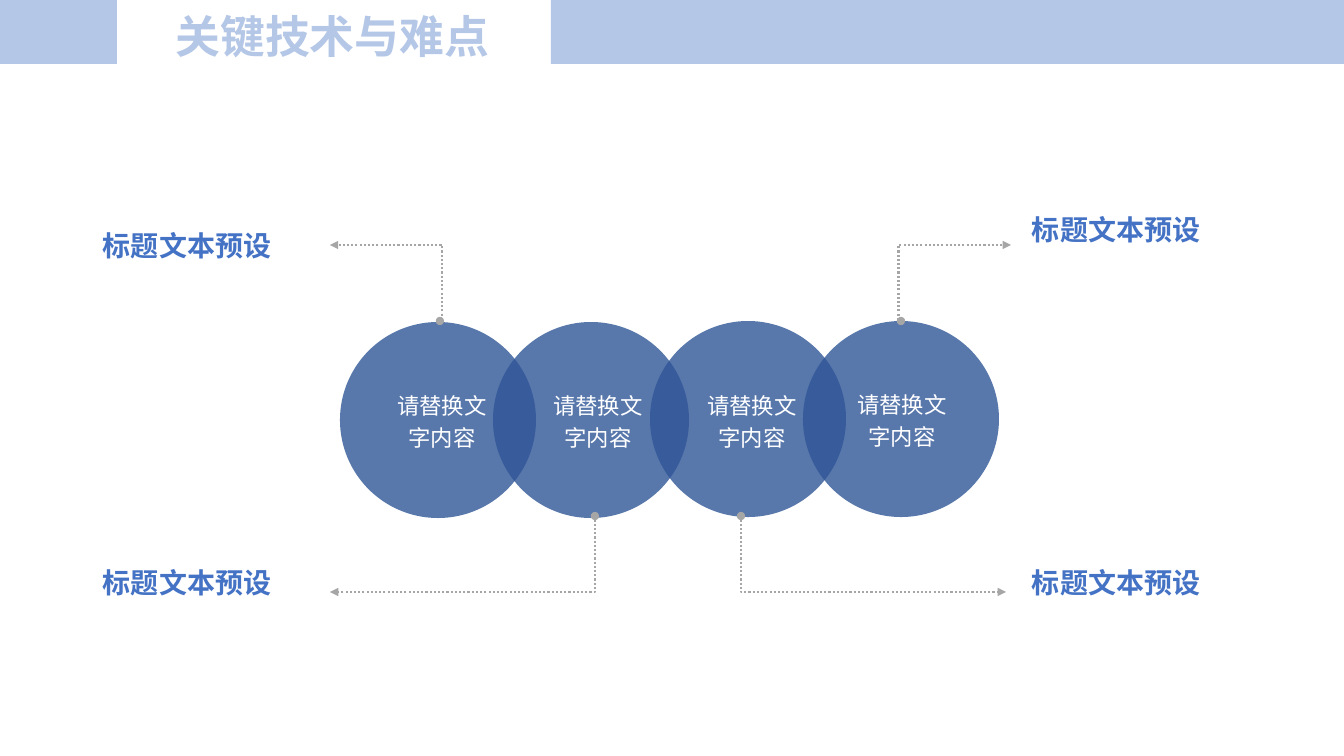
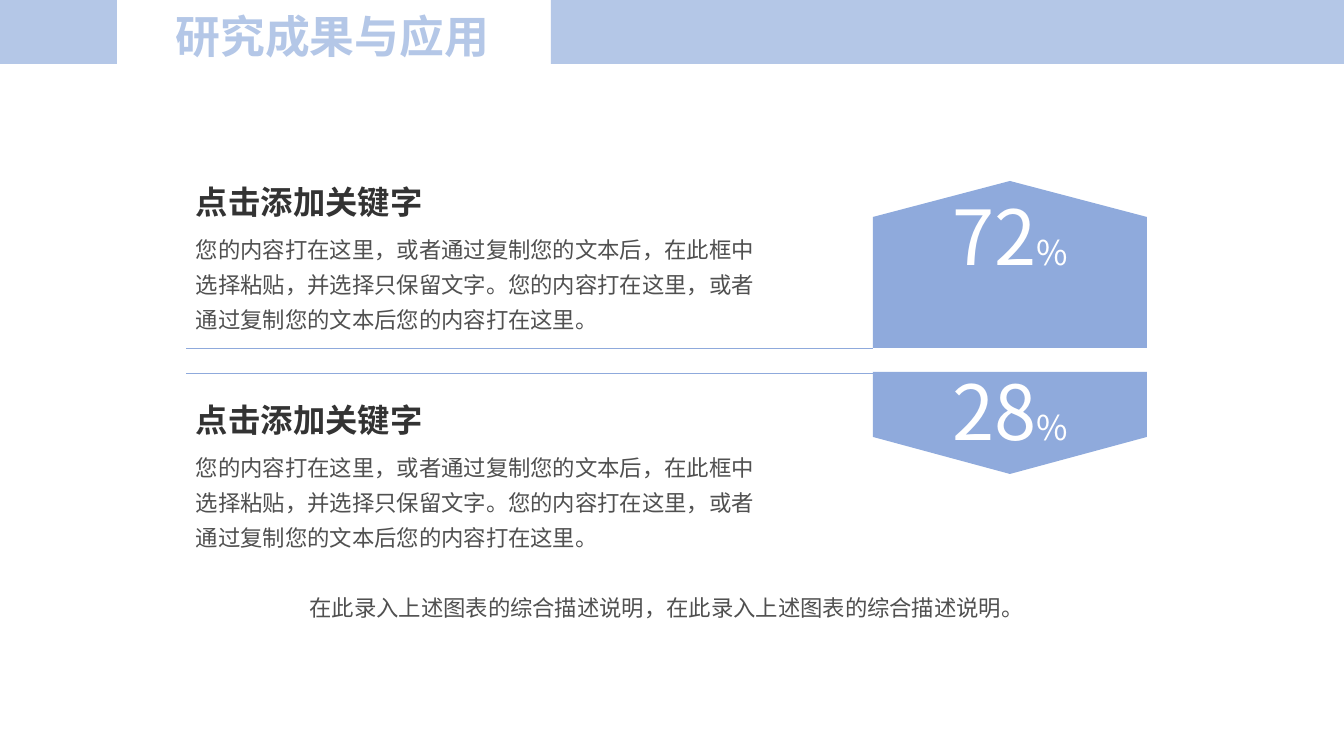
from dataclasses import dataclass

from lxml.etree import SubElement
from pptx import Presentation
from pptx.dml.color import RGBColor
from pptx.enum.dml import MSO_LINE
from pptx.enum.shapes import MSO_CONNECTOR as Connector, MSO_SHAPE as Shape
from pptx.enum.text import MSO_ANCHOR as Anchor, MSO_AUTO_SIZE as AutoSize, PP_ALIGN as Align
from pptx.oxml.ns import qn
from pptx.util import Emu, Pt

EMU_PER_PX = 914400 / 100.8
SLIDE_WIDTH, SLIDE_HEIGHT = 1344, 756


@dataclass(frozen=True)
class Theme:
    font: str = "Noto Sans CJK SC"
    circle_font: str = "Arial"
    band: str = "B4C7E7"
    circle: str = "2F5597"
    label: str = "4472C4"
    leader: str = "A6A6A6"
    block: str = "8FAADC"
    heading: str = "333333"
    body: str = "505050"
    white: str = "FFFFFF"
    title_size: float = 32
    label_size: float = 20
    heading_size: float = 23.1
    body_size: float = 16
    number_size: float = 54.2
    percent_size: float = 24.4


THEME = Theme()

# Boxes are left, top, width, height in px.
BANDS = [(551, 0, 793, 64), (0, 0, 117, 64)]
TITLE_BOX = (114, 7, 437, 64)

TECHNOLOGY_TITLE = "关键技术与难点"
CIRCLE_SIZE = 196
CIRCLE_TEXT = "请替换文字内容"
CIRCLE_TEXT_SIZE = (104, 66)
CIRCLES = [  # circle corner, text corner
    ((340, 322), (390, 387)),
    ((493, 322), (546, 387)),
    ((650, 321), (700, 387)),
    ((803, 321), (850, 386)),
]
LABEL_TEXT = "标题文本预设"
LABELS = [  # label box, leader start, leader end, bend in 1/1000 percent
    ((103, 222, 293, 40), (440, 321), (330, 245), -2300),
    ((103, 559, 218, 40), (595, 516), (330, 592), 0),
    ((1032, 206, 226, 40), (901, 321), (1011, 245), -2300),
    ((1032, 559, 226, 40), (741, 516), (1006, 592), 0),
]

RESULTS_TITLE = "研究成果与应用"
KEYWORD = "点击添加关键字"
KEYWORD_DETAIL = (
    "您的内容打在这里，或者通过复制您的文本后，在此框中选择粘贴，并选择只保留文字。"
    "您的内容打在这里，或者通过复制您的文本后您的内容打在这里。"
)
SUMMARY = "在此录入上述图表的综合描述说明，在此录入上述图表的综合描述说明。"
SUMMARY_BOX = (174, 584, 986, 42)
TEXT_LEFT, BLOCK_LEFT, BLOCK_RIGHT = 186, 873, 1147
RESULTS = [
    dict(number="72", base=348, shoulder=217, tip=181, inset=84, rule=348, heading_top=177),
    dict(number="28", base=372, shoulder=437, tip=474, inset=68, rule=373, heading_top=395),
]


def px(value):
    return Emu(round(value * EMU_PER_PX))


def color(code):
    return RGBColor.from_string(code)


def format_paragraph(paragraph, size, code, name=THEME.font, bold=False, align=None, spacing=None):
    paragraph.alignment = align
    paragraph.line_spacing = spacing
    font = paragraph.font
    font.size = Pt(size) if size else None
    font.bold = bold
    font.color.rgb = color(code)
    font.name = name
    SubElement(font._element, qn("a:ea")).set("typeface", THEME.font)


def set_insets(frame, horizontal, top, bottom):
    frame.margin_left = frame.margin_right = px(horizontal)
    frame.margin_top, frame.margin_bottom = px(top), px(bottom)


def add_text(slide, box, text, size, code, inset=(10, 5), **style):
    frame = slide.shapes.add_textbox(*map(px, box)).text_frame
    frame.word_wrap = True
    frame.auto_size = AutoSize.SHAPE_TO_FIT_TEXT
    set_insets(frame, inset[0], inset[1], inset[1])
    frame.text = text
    format_paragraph(frame.paragraphs[0], size, code, **style)


def fill_plain(shape, code):
    shape.shadow.inherit = False
    shape.fill.solid()
    shape.fill.fore_color.rgb = color(code)
    shape.line.fill.background()


def add_filled(slide, kind, box, code):
    shape = slide.shapes.add_shape(kind, *map(px, box))
    fill_plain(shape, code)
    return shape


def add_line(slide, kind, start, end, code, width):
    connector = slide.shapes.add_connector(kind, *map(px, start + end))
    connector.line.color.rgb = color(code)
    connector.line.width = Pt(width)
    SubElement(connector._element.spPr, qn("a:effectLst"))
    return connector


def add_leader(slide, start, end, bend):
    """Draw a dotted elbow from a dot on a circle to an arrowhead."""
    leader = add_line(slide, Connector.ELBOW, start, end, THEME.leader, 1.5)
    leader.line.dash_style = MSO_LINE.ROUND_DOT
    line = leader.line._get_or_add_ln()
    SubElement(line, qn("a:headEnd")).set("type", "oval")
    SubElement(line, qn("a:tailEnd")).set("type", "triangle")
    adjustments = leader._element.spPr.find(qn("a:prstGeom")).get_or_add_avLst()
    guide = SubElement(adjustments, qn("a:gd"))
    guide.set("name", "adj1")
    guide.set("fmla", f"val {bend}")


def add_percent_block(slide, result):
    middle = (BLOCK_LEFT + BLOCK_RIGHT) / 2
    base, shoulder = result["base"], result["shoulder"]
    builder = slide.shapes.build_freeform(BLOCK_LEFT, base, scale=EMU_PER_PX)
    builder.add_line_segments([
        (BLOCK_LEFT, shoulder), (middle, result["tip"]),
        (BLOCK_RIGHT, shoulder), (BLOCK_RIGHT, base),
    ], close=True)
    block = builder.convert_to_shape()
    fill_plain(block, THEME.block)
    frame = block.text_frame
    frame.word_wrap = True
    frame.vertical_anchor = Anchor.TOP
    set_insets(frame, 10, result["inset"], 5)
    paragraph = frame.paragraphs[0]
    format_paragraph(paragraph, None, THEME.white, align=Align.CENTER, spacing=Pt(11.1))
    for text, size in ((result["number"], THEME.number_size), ("%", THEME.percent_size)):
        run = paragraph.add_run()
        run.text = text
        run.font.size = Pt(size)


def prepare_layout(presentation):
    """Give the title-only layout its title box and bands."""
    layout = presentation.slide_layouts[5]
    for placeholder in list(layout.placeholders):
        if placeholder.placeholder_format.idx:
            placeholder._element.getparent().remove(placeholder._element)
    title = layout.placeholders[0]
    title.left, title.top, title.width, title.height = map(px, TITLE_BOX)
    return layout


def add_bands(slide, layout):
    """Draw the bands and hand them to the layout, which every slide shares."""
    for box in BANDS:
        band = add_filled(slide, Shape.RECTANGLE, box, THEME.band)
        layout.shapes._spTree.insert(2, band._element)


def add_titled_slide(presentation, layout, text):
    slide = presentation.slides.add_slide(layout)
    frame = slide.shapes.title.text_frame
    frame.text = text
    frame.vertical_anchor = Anchor.MIDDLE
    format_paragraph(frame.paragraphs[0], THEME.title_size, THEME.band,
                     bold=True, align=Align.CENTER, spacing=0.9)
    return slide


def build_technology(slide):
    for corner, _ in CIRCLES:
        box = corner + (CIRCLE_SIZE, CIRCLE_SIZE)
        circle = add_filled(slide, Shape.OVAL, box, THEME.circle)
        fill = circle._element.spPr.find(qn("a:solidFill"))
        SubElement(fill[0], qn("a:alpha")).set("val", "80000")
    for _, corner in CIRCLES:
        add_text(slide, corner + CIRCLE_TEXT_SIZE, CIRCLE_TEXT, THEME.body_size, THEME.white,
                 inset=(0, 0), name=THEME.circle_font, align=Align.CENTER, spacing=1.2)
    for box, start, end, bend in LABELS:
        add_leader(slide, start, end, bend)
        add_text(slide, box, LABEL_TEXT, THEME.label_size, THEME.label,
                 inset=(0, 0), bold=True, align=Align.JUSTIFY, spacing=1.2)


def build_results(slide):
    for result in RESULTS:
        add_percent_block(slide, result)
        rule, top = result["rule"], result["heading_top"]
        add_line(slide, Connector.STRAIGHT, (BLOCK_LEFT, rule), (TEXT_LEFT, rule),
                 THEME.block, 0.5)
        add_text(slide, (TEXT_LEFT, top, 307, 49), KEYWORD,
                 THEME.heading_size, THEME.heading, bold=True)
        add_text(slide, (TEXT_LEFT, top + 46, 579, 116), KEYWORD_DETAIL,
                 THEME.body_size, THEME.body, spacing=1.3)
    add_text(slide, SUMMARY_BOX, SUMMARY, THEME.body_size, THEME.body,
             align=Align.CENTER, spacing=1.2)


def main():
    presentation = Presentation()
    presentation.slide_width, presentation.slide_height = px(SLIDE_WIDTH), px(SLIDE_HEIGHT)
    layout = prepare_layout(presentation)
    technology = add_titled_slide(presentation, layout, TECHNOLOGY_TITLE)
    add_bands(technology, layout)
    build_technology(technology)
    build_results(add_titled_slide(presentation, layout, RESULTS_TITLE))
    presentation.save("out.pptx")


if __name__ == "__main__":
    main()
